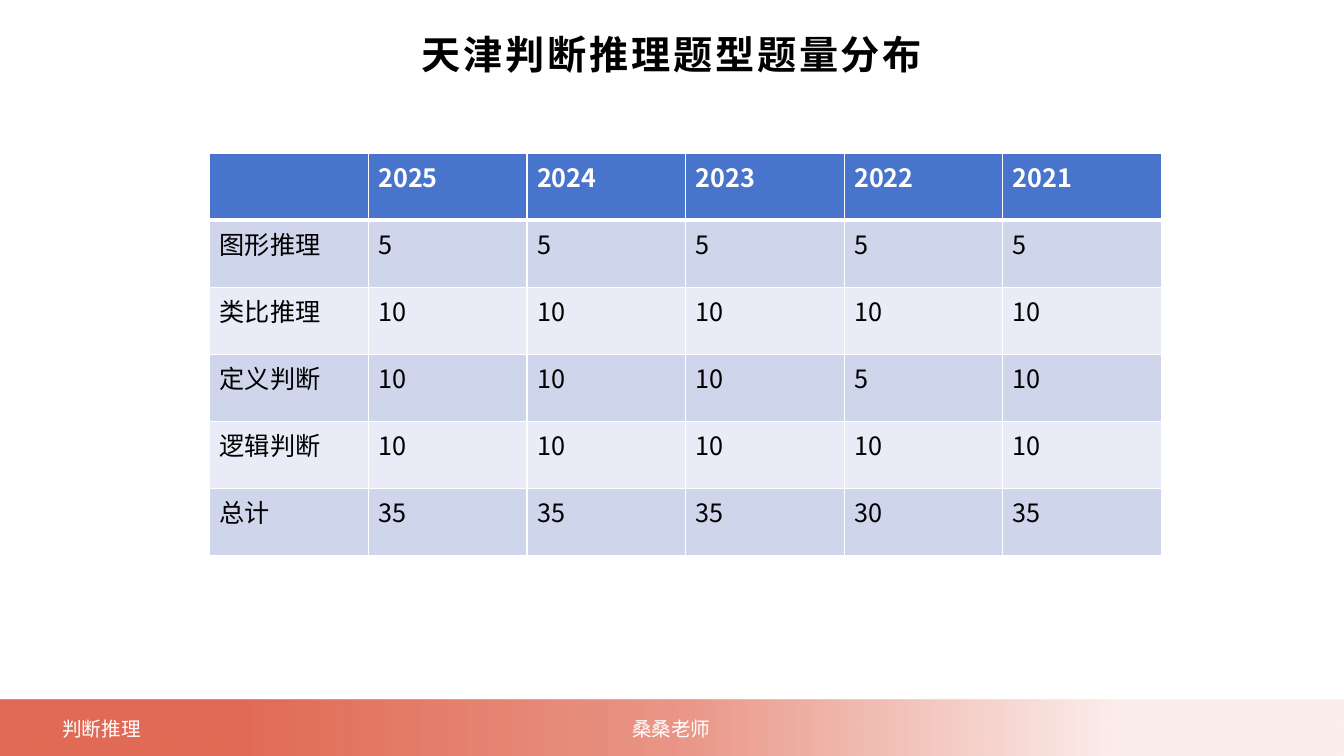
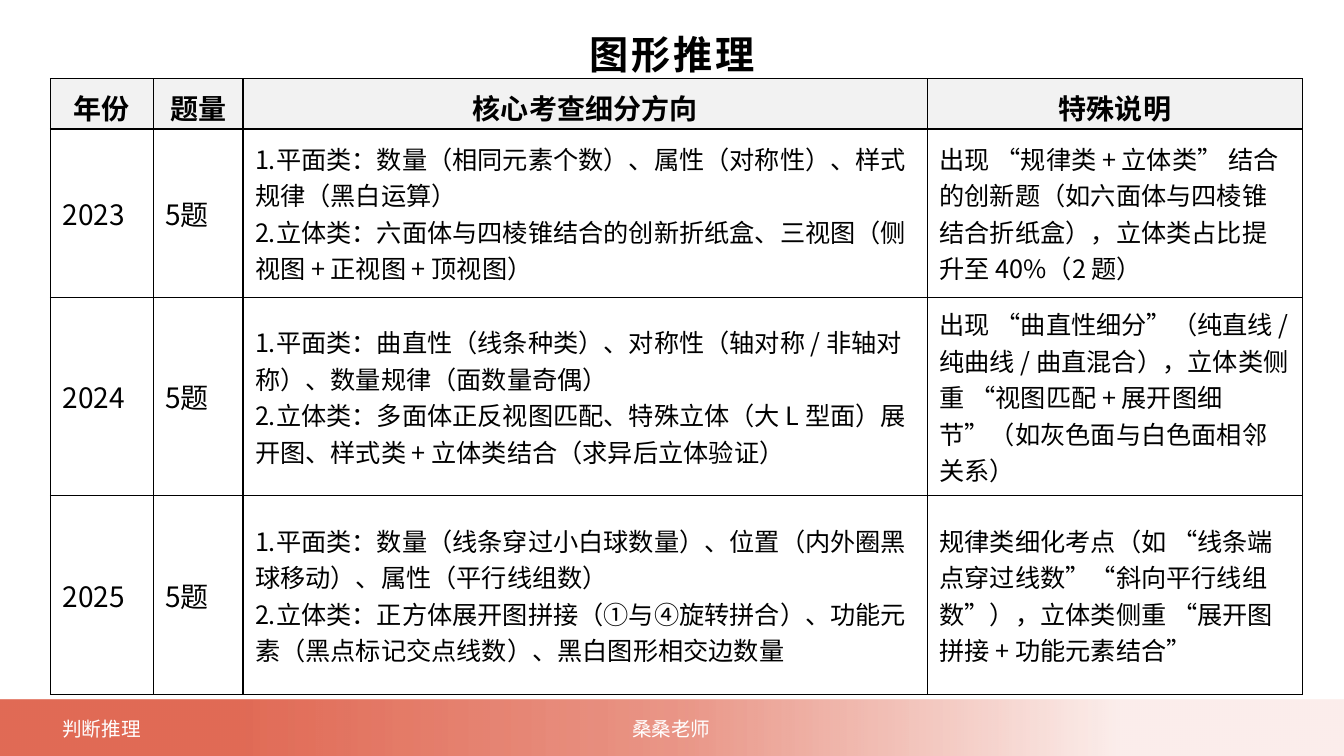
import pptx
import pptx.util
import pptx.dml.color
import pptx.enum.shapes
import pptx.enum.text
import pptx.oxml
from pptx.oxml.ns import nsdecls, qn

Inches = pptx.util.Inches
Pt = pptx.util.Pt
Align = pptx.enum.text.PP_ALIGN
Anchor = pptx.enum.text.MSO_ANCHOR

FONT = "Noto Sans CJK SC"
HUES = {
    "black": "000000", "white": "FFFFFF", "red": "DC5037", "blue": "4874CB",
    "dark": "CFD6EC", "light": "E9EBF6", "grey": "F2F2F2",
}
FADE = ((18, 84), (51, 59), (83, 10))  # position and opacity, in percent

COUNTS = [
    ["", "2025", "2024", "2023", "2022", "2021"],
    ["图形推理", "5", "5", "5", "5", "5"],
    ["类比推理", "10", "10", "10", "10", "10"],
    ["定义判断", "10", "10", "10", "5", "10"],
    ["逻辑判断", "10", "10", "10", "10", "10"],
    ["总计", "35", "35", "35", "30", "35"],
]
TOPICS = [
    ["年份", "题量", "核心考查细分方向", "特殊说明"],
    ["2023", "5题",
     "1.平面类：数量（相同元素个数）、属性（对称性）、样式规律（黑白运算）\n"
     "2.立体类：六面体与四棱锥结合的创新折纸盒、三视图（侧视图 + 正视图 + 顶视图）",
     "出现 “规律类 + 立体类” 结合的创新题（如六面体与四棱锥结合折纸盒），立体类占比提升至 40%（2 题）"],
    ["2024", "5题",
     "1.平面类：曲直性（线条种类）、对称性（轴对称 / 非轴对称）、数量规律（面数量奇偶）\n"
     "2.立体类：多面体正反视图匹配、特殊立体（大 L 型面）展开图、样式类 + 立体类结合（求异后立体验证）",
     "出现 “曲直性细分”（纯直线 / 纯曲线 / 曲直混合），立体类侧重 “视图匹配 + 展开图细节”（如灰色面与白色面相邻关系）"],
    ["2025", "5题",
     "1.平面类：数量（线条穿过小白球数量）、位置（内外圈黑球移动）、属性（平行线组数）\n"
     "2.立体类：正方体展开图拼接（①与④旋转拼合）、功能元素（黑点标记交点线数）、黑白图形相交边数量",
     "规律类细化考点（如 “线条端点穿过线数”“斜向平行线组数”），立体类侧重 “展开图拼接 + 功能元素结合”"],
]


class Deck:
    """Holds the style and the current slide."""

    def __init__(self):
        self.prs = pptx.Presentation()
        self.prs.slide_width = Inches(13.33)
        self.prs.slide_height = Inches(7.5)

    def page(self, title):
        """Start a slide with its band, footers and title."""
        self.slide = self.prs.slides.add_slide(self.prs.slide_layouts[6])
        self.band()
        self.foot("判断推理", 0.52)
        self.foot("桑桑老师", 6.17)
        self.title(title)

    def style(self, frame, size, hue, bold=False, align=Align.LEFT, track=0):
        """Format every run of a text frame."""
        for para in frame.paragraphs:
            para.alignment = align
            for run in para.runs:
                run.font.name = FONT
                run.font.size = Pt(size)
                run.font.bold = bold
                run.font.color.rgb = self.rgb(hue)
                props = run.font._element
                props.find(qn("a:latin")).addnext(pptx.oxml.parse_xml(
                    f'<a:ea {nsdecls("a")} typeface="{FONT}"/>'))
                if track:
                    props.set("spc", str(track * 100))

    def rgb(self, hue):
        return pptx.dml.color.RGBColor.from_string(HUES[hue])

    def band(self):
        band = self.slide.shapes.add_shape(
            pptx.enum.shapes.MSO_SHAPE.RECTANGLE,
            0, Inches(6.94), Inches(13.33), Inches(0.57))
        band.shadow.inherit = False
        band.line.fill.background()
        stops = "".join(
            f'<a:gs pos="{pos * 1000}"><a:srgbClr val="{HUES["red"]}">'
            f'<a:alpha val="{alpha * 1000}"/></a:srgbClr></a:gs>'
            for pos, alpha in FADE)
        band._element.spPr.find(qn("a:prstGeom")).addnext(pptx.oxml.parse_xml(
            f'<a:gradFill {nsdecls("a")} rotWithShape="1"><a:gsLst>{stops}'
            '</a:gsLst><a:lin ang="0" scaled="0"/></a:gradFill>'))

    def box(self, text, left, top, width, height):
        box = self.slide.shapes.add_textbox(
            Inches(left), Inches(top), Inches(width), Inches(height))
        box.text_frame.text = text
        return box.text_frame

    def foot(self, text, left):
        frame = self.box(text, left, 7.06, 0.98, 0.34)
        frame.word_wrap = False
        frame.auto_size = pptx.enum.text.MSO_AUTO_SIZE.SHAPE_TO_FIT_TEXT
        self.style(frame, 14, "white")

    def title(self, text):
        frame = self.box(text, 0.76, 0.16, 11.81, 0.92)
        frame.word_wrap = True
        frame.paragraphs[0].line_spacing = 1.2
        self.style(frame, 28, "black", True, Align.CENTER, 2)

    def table(self, data, left, top, widths, heights):
        """Add a plain table and return its cells, row by row."""
        table = self.slide.shapes.add_table(
            len(data), len(data[0]), Inches(left), Inches(top),
            Inches(sum(widths)), Inches(sum(heights))).table
        table.first_row = table.horz_banding = False
        for col, width in zip(table.columns, widths):
            col.width = Inches(width)
        for row, height in zip(table.rows, heights):
            row.height = Inches(height)
        for row, texts in zip(table.rows, data):
            for cell, text in zip(row.cells, texts):
                cell.text_frame.text = text
        return [list(row.cells) for row in table.rows]

    def paint(self, cell, fill, edge, top=1, bottom=1):
        """Set a cell's fill and borders; top and bottom are line widths."""
        cell.fill.solid()
        cell.fill.fore_color.rgb = self.rgb(fill)
        props = cell._tc.get_or_add_tcPr()
        for i, (side, width) in enumerate(
                (("L", 1), ("R", 1), ("T", top), ("B", bottom))):
            props.insert(i, pptx.oxml.parse_xml(
                f'<a:ln{side} {nsdecls("a")} w="{Pt(width)}"><a:solidFill>'
                f'<a:srgbClr val="{HUES[edge]}"/></a:solidFill></a:ln{side}>'))

    def counts(self):
        rows = self.table(COUNTS, 2.08, 1.52, [9.44 / 6] * 6, [3.99 / 6] * 6)
        for r, row in enumerate(rows):
            head = r == 0
            fill = "blue" if head else ("light", "dark")[r % 2]
            for cell in row:
                self.paint(cell, fill, "white",
                           top=3 if r == 1 else 1, bottom=3 if head else 1)
                self.style(cell.text_frame, 18,
                           "white" if head else "black", head)

    def topics(self):
        rows = self.table(TOPICS, 0.5, 0.78, [1.02, 0.89, 6.79, 3.72],
                          [0.5, 1.67, 1.97, 1.97])
        for r, row in enumerate(rows):
            head = r == 0
            for c, cell in enumerate(row):
                self.paint(cell, "grey" if head else "white", "black")
                cell.vertical_anchor = Anchor.MIDDLE
                cell.margin_left = cell.margin_right = Inches(0.12)
                cell.margin_top = cell.margin_bottom = Inches(0.08)
                self.style(cell.text_frame, 20 if head or c < 2 else 18,
                           "black", head, Align.CENTER if head else Align.LEFT)


def main():
    deck = Deck()
    deck.page("天津判断推理题型题量分布")
    deck.counts()
    deck.page("图形推理")
    deck.topics()
    deck.prs.save("out.pptx")


if __name__ == "__main__":
    main()
